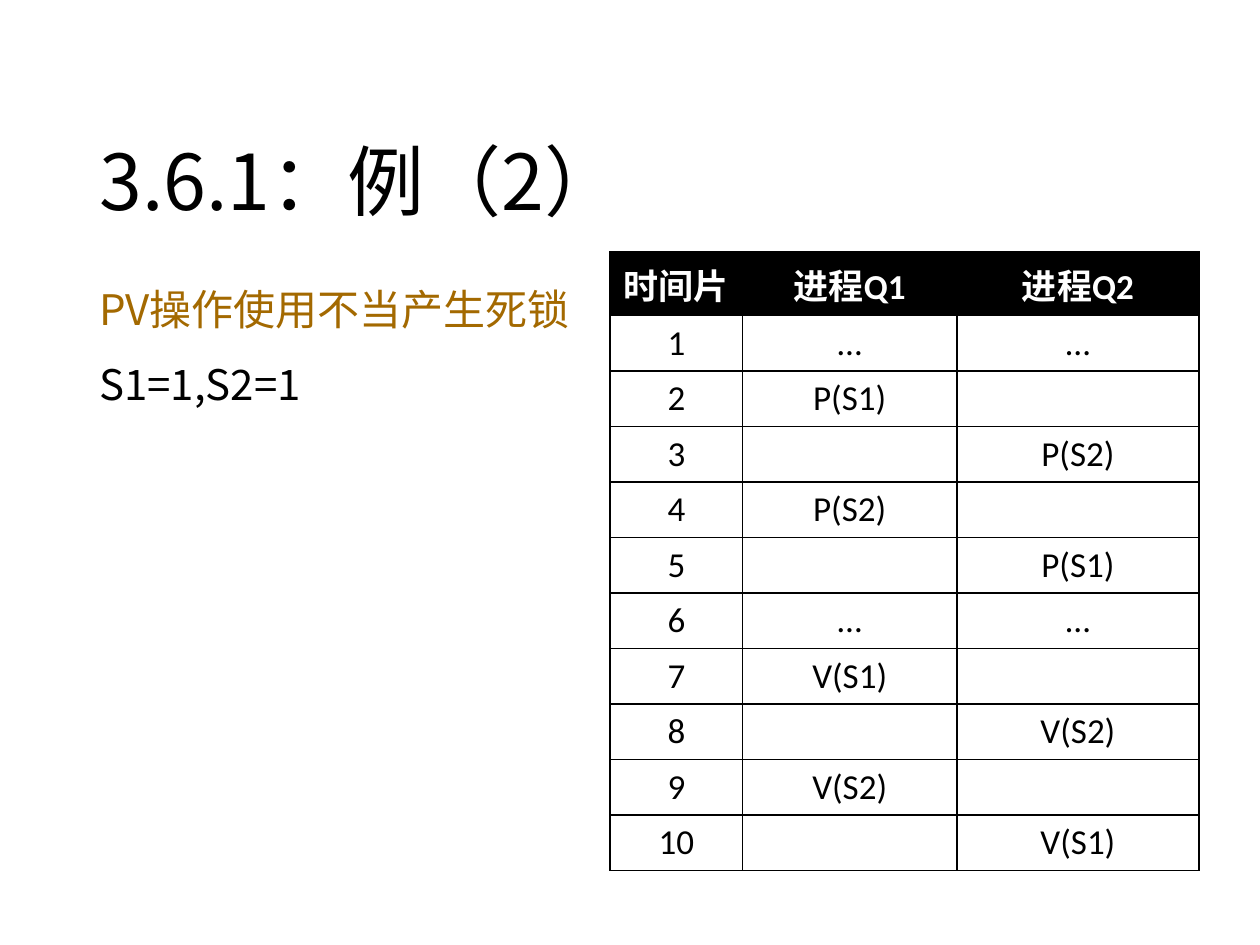
from lxml import etree
from pptx import Presentation
from pptx.dml.color import RGBColor
from pptx.enum.text import MSO_ANCHOR, MSO_AUTO_SIZE, PP_ALIGN
from pptx.oxml.ns import qn
from pptx.util import Cm, Pt

LEFT, CENTER = PP_ALIGN.LEFT, PP_ALIGN.CENTER
TOP, MIDDLE, BOTTOM = MSO_ANCHOR.TOP, MSO_ANCHOR.MIDDLE, MSO_ANCHOR.BOTTOM
NO_AUTOFIT = MSO_AUTO_SIZE.NONE

BLACK, WHITE, OCHRE = "000000", "FFFFFF", "A36900"
CJK_FONT, LATIN_FONT = "Noto Sans CJK SC", "Calibri"

SCHEDULE = [
    ("时间片", "进程Q1", "进程Q2"),
    ("1", "…", "…"),
    ("2", "P(S1)", ""),
    ("3", "", "P(S2)"),
    ("4", "P(S2)", ""),
    ("5", "", "P(S1)"),
    ("6", "…", "…"),
    ("7", "V(S1)", ""),
    ("8", "", "V(S2)"),
    ("9", "V(S2)", ""),
    ("10", "", "V(S1)"),
]


def color(value):
    return RGBColor.from_string(value)


def set_all(target, values):
    for name, value in values.items():
        setattr(target, name, value)


class SlideWriter:
    title_font = {"name": CJK_FONT, "size": Pt(44), "bold": False}
    body_font = {"name": CJK_FONT, "size": Pt(24), "bold": False}
    header_font = {"name": LATIN_FONT, "size": Pt(20), "bold": True}
    cell_font = {**header_font, "bold": False}

    def __init__(self, slide):
        self.slide = slide

    def run(self, paragraph, text, font, ink):
        run = paragraph.add_run()
        run.text = text
        set_all(run.font, font)
        run.font.color.rgb = color(ink)
        east_asian = etree.SubElement(run.font._element, qn("a:ea"))
        east_asian.set("typeface", CJK_FONT)

    def title(self, text, box):
        title = self.slide.shapes.title
        set_all(title, box)
        set_all(title.text_frame, {"word_wrap": True, "auto_size": NO_AUTOFIT,
                                   "vertical_anchor": BOTTOM})
        paragraph = title.text_frame.paragraphs[0]
        set_all(paragraph, {"alignment": LEFT, "line_spacing": 0.9})
        self.run(paragraph, text, self.title_font, BLACK)

    def body(self, lines, box):
        frame = self.slide.shapes.add_textbox(*box.values()).text_frame
        set_all(frame, {"word_wrap": True, "auto_size": NO_AUTOFIT,
                        "vertical_anchor": TOP})
        paragraph = frame.paragraphs[0]
        set_all(paragraph, {"alignment": LEFT, "line_spacing": 1.5})
        for index, (text, ink) in enumerate(lines):
            if index:
                paragraph.add_line_break()
            self.run(paragraph, text, self.body_font, ink)

    def borders(self, cell):
        properties = cell._tc.get_or_add_tcPr()
        for side in ("lnL", "lnR", "lnT", "lnB"):
            line = etree.SubElement(properties, qn(f"a:{side}"), w=str(Pt(1)))
            fill = etree.SubElement(line, qn("a:solidFill"))
            etree.SubElement(fill, qn("a:srgbClr"), val=BLACK)

    def cell(self, cell, text, font, ink, fill):
        self.borders(cell)
        cell.fill.solid()
        cell.fill.fore_color.rgb = color(fill)
        cell.vertical_anchor = MIDDLE
        paragraph = cell.text_frame.paragraphs[0]
        paragraph.alignment = CENTER
        if text:
            self.run(paragraph, text, font, ink)

    def table(self, rows, widths, row_height, left, top):
        table = self.slide.shapes.add_table(
            len(rows), len(widths), left, top, sum(widths),
            row_height * len(rows)).table
        for column, width in zip(table.columns, widths):
            column.width = width
        for r, texts in enumerate(rows):
            table.rows[r].height = row_height
            style = ((self.cell_font, BLACK, WHITE) if r
                     else (self.header_font, WHITE, BLACK))
            for c, text in enumerate(texts):
                self.cell(table.cell(r, c), text, *style)


def main():
    deck = Presentation()
    deck.slide_width, deck.slide_height = Cm(25.4), Cm(19.05)
    writer = SlideWriter(deck.slides.add_slide(deck.slide_layouts[5]))
    margin, content_top = Cm(1.75), Cm(5.08)
    writer.title("3.6.1：例（2）", {"left": margin, "top": Cm(1.02),
                                 "width": Cm(21.9), "height": Cm(3.68)})
    writer.body([("PV操作使用不当产生死锁", OCHRE), ("S1=1,S2=1", BLACK)],
                {"left": margin, "top": content_top,
                 "width": Cm(10.1), "height": Cm(12.1)})
    writer.table(SCHEDULE, [Cm(2.67), Cm(4.32), Cm(4.88)], Cm(1.04),
                 Cm(12.3), content_top)
    deck.save("out.pptx")


if __name__ == "__main__":
    main()
